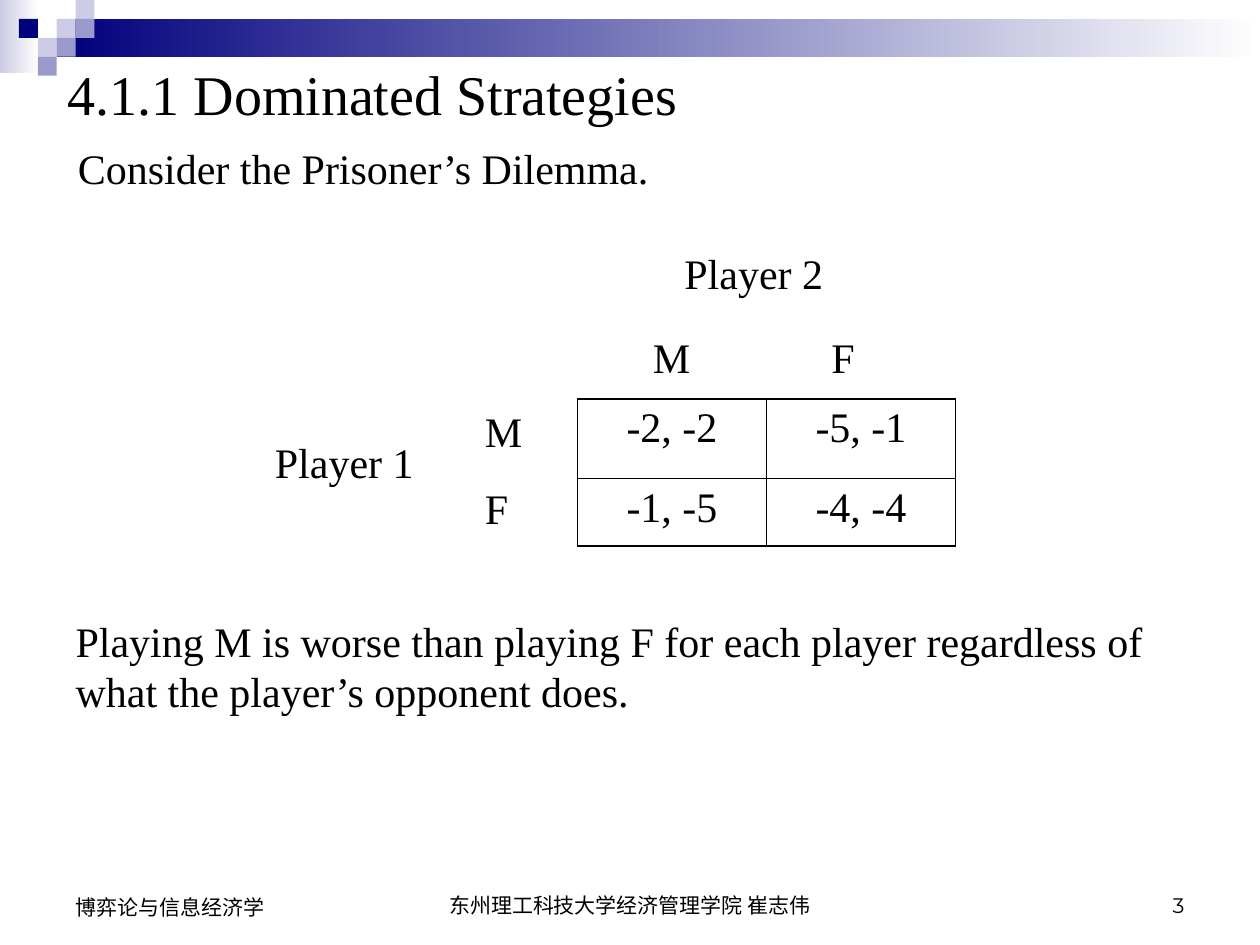
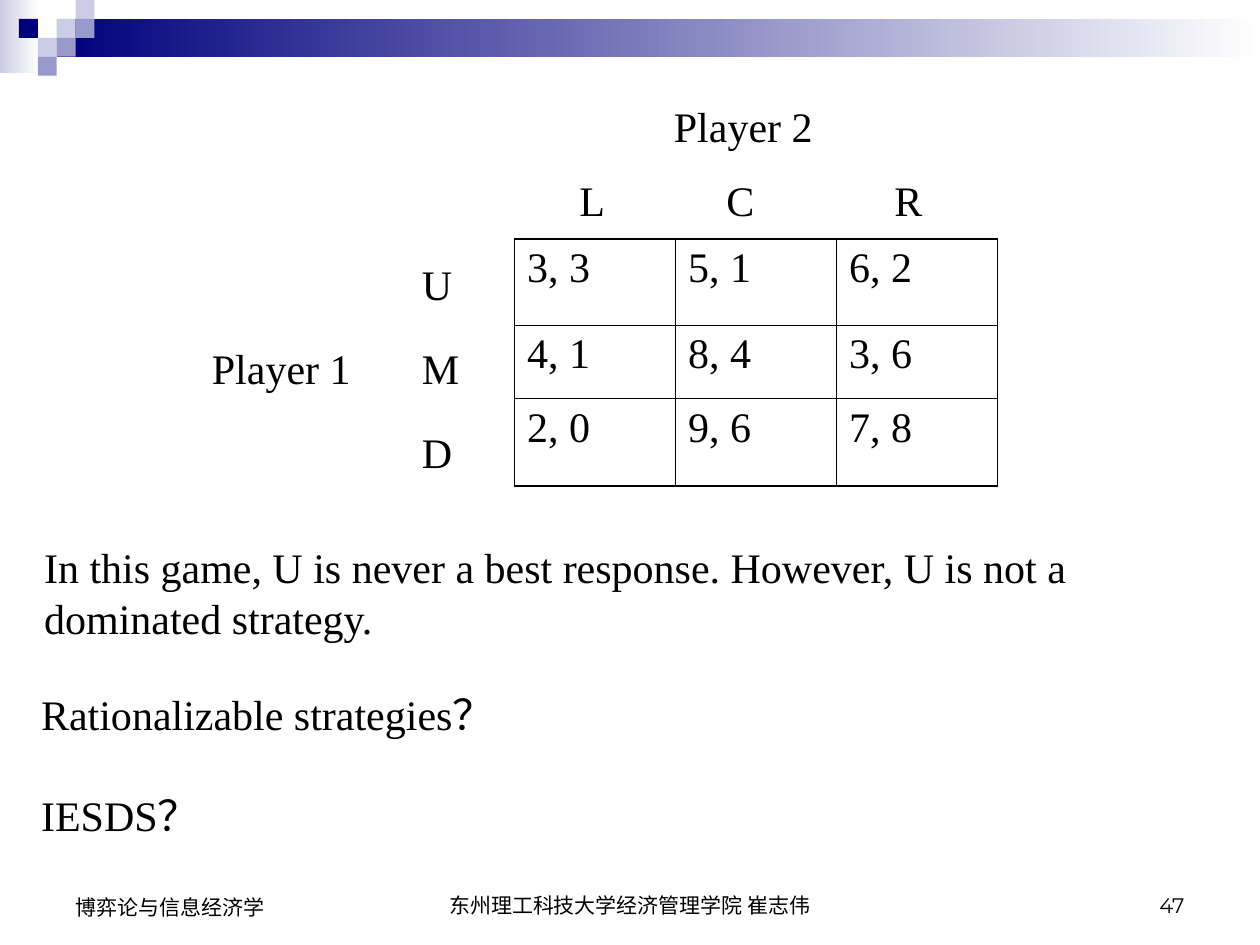
from dataclasses import dataclass

from lxml.etree import SubElement
from pptx import Presentation
from pptx.dml.color import RGBColor as Rgb
from pptx.enum.shapes import MSO_SHAPE as Preset
from pptx.enum.text import MSO_ANCHOR as Anchor, MSO_AUTO_SIZE as AutoSize, PP_ALIGN as Align
from pptx.oxml.ns import qn
from pptx.util import Pt


@dataclass(frozen=True)
class Theme:
    """Colours, fonts and sizes shared by all slides."""
    navy: str = "00007D"
    lilac: str = "CCCCE6"
    violet: str = "9999CC"
    white: str = "FFFFFF"
    ink: str = "000000"
    serif: str = "Times New Roman"
    sans: str = "Arial"
    number_face: str = "Montserrat"
    title_size: int = 32
    text_size: int = 24
    footer_size: int = 12
    outer_rule: float = 1.08
    inner_rule: float = 0.45
    mosaic_tile: float = 10.8


@dataclass(frozen=True)
class Game:
    """A payoff matrix, its strategies and the offsets of its labels."""
    payoffs: list
    column_width: float
    row_heights: list
    rows: str
    row_start: float
    row_step: float
    columns: dict
    column_lift: float
    player_1: tuple
    player_2: tuple
    align: Align


THEME = Theme()
COURSE = "博弈论与信息经济学"
SCHOOL = "东州理工科技大学经济管理学院 崔志伟"

PRISONERS = Game(
    payoffs=[["-2, -2", "-5, -1"], ["-1, -5", "-4, -4"]],
    column_width=108, row_heights=[45.4, 38.8],
    rows="MF", row_start=0, row_step=44,
    columns={"M": 36, "F": 138}, column_lift=-42,
    player_1=(-180, 18), player_2=(54, -90), align=Align.CENTER)

THREE_BY_THREE = Game(
    payoffs=[["3, 3", "5, 1", "6, 2"], ["4, 1", "8, 4", "3, 6"], ["2, 0", "9, 6", "7, 8"]],
    column_width=92, row_heights=[49.2, 42, 49.8],
    rows="UMD", row_start=7.4, row_step=48,
    columns={"L": 30, "C": 114, "R": 210}, column_lift=-40.6,
    player_1=(-180, 55.4), player_2=(84, -82.6), align=Align.LEFT)


def apply(target, **formats):
    """Set each named format on the target."""
    for name, value in formats.items():
        setattr(target, name, value)


def write(frame, lines, size=THEME.text_size, face=THEME.serif, align=Align.LEFT,
          anchor=Anchor.TOP, gap=0, wrap=True):
    """Fill a text frame with plain paragraphs, gap points apart."""
    apply(frame, word_wrap=wrap, auto_size=AutoSize.NONE, vertical_anchor=anchor)
    frame.text = "\n".join(lines)
    for index, paragraph in enumerate(frame.paragraphs):
        style_paragraph(paragraph, size, face, align, gap if index else 0)


def style_paragraph(paragraph, size, face, align, before=0):
    """Give a paragraph its font and spacing without any bullet."""
    apply(paragraph, alignment=align, space_before=Pt(before), space_after=Pt(0))
    properties = paragraph._p.get_or_add_pPr()
    for name in ("marL", "indent"):
        properties.set(name, "0")
    SubElement(properties, qn("a:buNone"))
    apply(paragraph.font, size=Pt(size), name=face, bold=False)
    paragraph.font.color.rgb = Rgb.from_string(THEME.ink)


def place(shape, box):
    """Move a placeholder to a box and return its text frame."""
    apply(shape, **dict(zip(("left", "top", "width", "height"), map(Pt, box))))
    return shape.text_frame


def add_text(slide, box, lines, **formats):
    """Add a text box at the given box."""
    write(slide.shapes.add_textbox(*map(Pt, box)).text_frame, lines, **formats)


def add_block(slide, box, *colours):
    """Add a borderless rectangle in one colour or fading between two."""
    block = slide.shapes.add_shape(Preset.RECTANGLE, *map(Pt, box))
    block.shadow.inherit = False
    block.line.fill.background()
    if len(colours) == 1:
        block.fill.solid()
        block.fill.fore_color.rgb = Rgb.from_string(colours[0])
        return
    block.fill.gradient()
    block.fill.gradient_angle = 0
    for position, (stop, colour) in enumerate(zip(block.fill.gradient_stops, colours)):
        stop.position = position
        stop.color.rgb = Rgb.from_string(colour)


def add_header(slide, left=0, top=0):
    """Draw the fading band and the mosaic at the top left."""
    tile = THEME.mosaic_tile
    add_block(slide, (left, top, 22.3, 41.8), THEME.lilac, THEME.white)
    add_block(slide, (left + 3 * tile, top + tile, 720 - 3 * tile, 2 * tile),
              THEME.navy, THEME.white)
    mosaic = {THEME.lilac: [(3, 1), (4, 0), (2, 2)],
              THEME.violet: [(4, 1), (3, 2), (2, 3)],
              THEME.navy: [(1, 1)]}
    for colour, tiles in mosaic.items():
        for column, row in tiles:
            add_block(slide, (left + column * tile, top + row * tile, tile, tile), colour)


def add_footer(slide, number, left=36, top=492):
    """Place the course, the school and the slide number on one line."""
    for offset, width, height, text, face, align in (
            (210, 228, 36, SCHOOL, THEME.sans, Align.CENTER),
            (480, 168, 36, str(number), THEME.number_face, Align.RIGHT),
            (0, 168, 37, COURSE, THEME.sans, Align.LEFT)):
        add_text(slide, (left + offset, top, width, height), [text],
                 size=THEME.footer_size, face=face, align=align, anchor=Anchor.BOTTOM)


def rule_cell(cell, edges):
    """Draw the cell's borders, given as side and width."""
    properties = cell._tc.get_or_add_tcPr()
    for side, width in edges.items():
        rule = SubElement(properties, qn(f"a:ln{side}"), w=str(Pt(width)))
        SubElement(SubElement(rule, qn("a:solidFill")), qn("a:srgbClr"), val=THEME.ink)


def add_payoffs(slide, game, left, top):
    """Add the payoff table with a heavier outer frame."""
    last_row, last_column = len(game.payoffs) - 1, len(game.payoffs[0]) - 1
    table = slide.shapes.add_table(
        last_row + 1, last_column + 1, Pt(left), Pt(top),
        Pt(game.column_width * (last_column + 1)), Pt(sum(game.row_heights))).table
    apply(table, first_row=False, horz_banding=False)
    for column in table.columns:
        column.width = Pt(game.column_width)
    for r, payoff_row in enumerate(game.payoffs):
        table.rows[r].height = Pt(game.row_heights[r])
        for c, payoff in enumerate(payoff_row):
            cell = table.cell(r, c)
            outer = {"L": c == 0, "R": c == last_column, "T": r == 0, "B": r == last_row}
            rule_cell(cell, {side: THEME.outer_rule if edge else THEME.inner_rule
                             for side, edge in outer.items()})
            cell.fill.background()
            cell.text = payoff
            style_paragraph(cell.text_frame.paragraphs[0], THEME.text_size,
                            THEME.serif, game.align)


def add_game(slide, game, left, top):
    """Add the payoff table with strategy and player labels around it."""
    add_payoffs(slide, game, left, top)
    labels = [(name, -60, game.row_start + index * game.row_step, 42)
              for index, name in enumerate(game.rows)]
    labels += [(name, x, game.column_lift, 42) for name, x in game.columns.items()]
    labels += [("Player 1", *game.player_1, 96), ("Player 2", *game.player_2, 132)]
    for text, x, y, width in labels:
        add_text(slide, (left + x, top + y, width, 36), [text])


def add_game_slide(deck, number, game, corner, remark, remark_box, title=None):
    """Add a slide with a game, a remark in the body and an optional title."""
    slide = deck.slides.add_slide(deck.slide_layouts[1])
    heading, body = slide.placeholders
    if title:
        write(place(heading, (31.4, 30.2, 380, 46)), [title], size=THEME.title_size)
    else:
        heading.element.getparent().remove(heading.element)
    write(place(body, remark_box), remark)
    add_header(slide)
    add_footer(slide, number)
    add_game(slide, game, *corner)
    return slide


def main():
    """Build the deck."""
    deck = Presentation()
    apply(deck, slide_width=Pt(720), slide_height=Pt(540))

    dominated = add_game_slide(
        deck, 3, PRISONERS, (330, 228),
        ["Playing M is worse than playing F for each player regardless of",
         "what the player’s opponent does."],
        (36, 348, 660, 65), title="4.1.1 Dominated Strategies")
    add_text(dominated, (37.4, 77.8, 340.6, 36), ["Consider the Prisoner’s Dilemma."], wrap=False)

    response = add_game_slide(
        deck, 47, THREE_BY_THREE, (294, 136.6),
        ["In this game, U is never a best response. However, U is not a dominated strategy."],
        (18, 306, 684, 65))
    add_text(response, (16.4, 390, 279.4, 93.6),
             ["Rationalizable strategies？", "IESDS？"], gap=29, wrap=False)

    deck.save("out.pptx")


if __name__ == "__main__":
    main()
